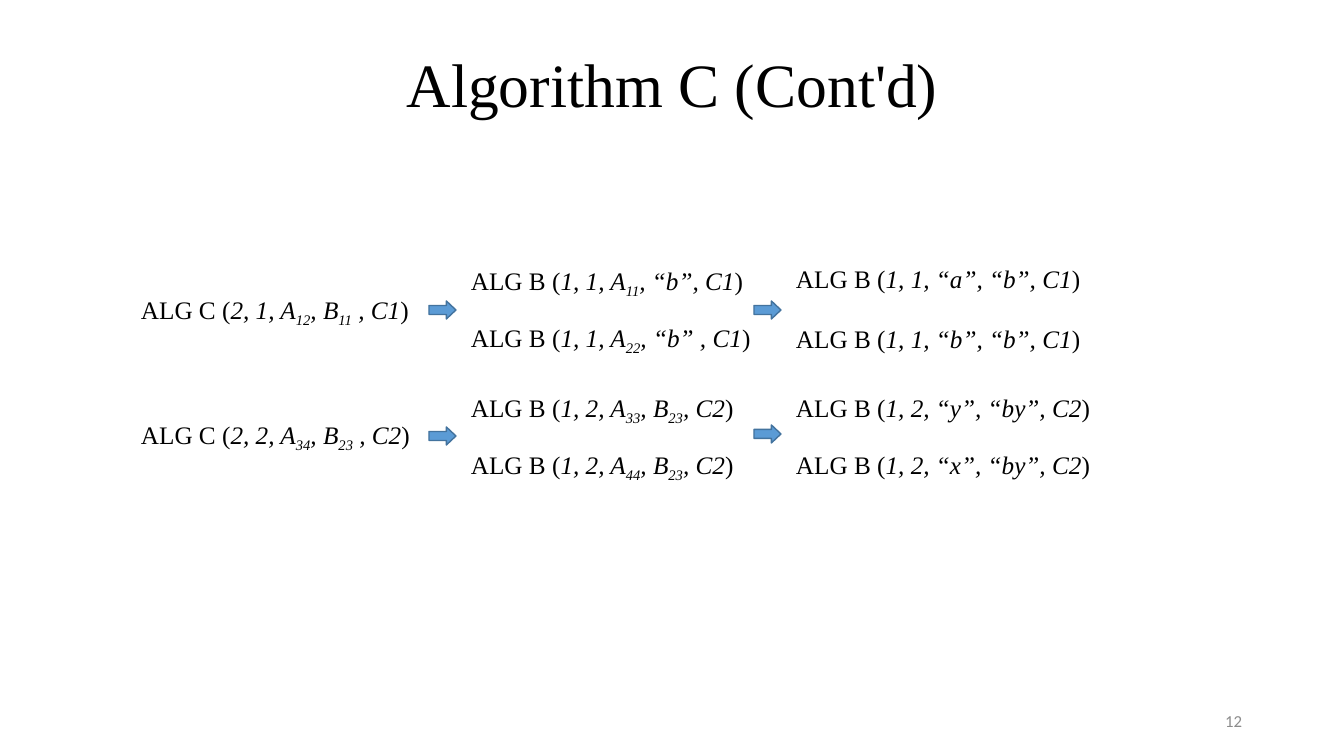
import pptx
import pptx.util
import pptx.dml.color
import pptx.enum.shapes
import pptx.enum.text

# Content: text between bars is a subscript
TITLE = "Algorithm C (Cont'd)"
PAGE = "12"

# Each column: name, left, width, text indent, then (top, arguments)
CALLS = [
    ("ALG C", 120, 300, 21, [
        (289, "2, 1, A|12|, B|11| , C1"),
        (414, "2, 2, A|34|, B|23| , C2"),
    ]),
    ("ALG B", 456, 310, 15, [
        (260, "1, 1, A|11|, “b”, C1"),
        (317, "1, 1, A|22|, “b” , C1"),
        (387, "1, 2, A|33|, B|23|, C2"),
        (444, "1, 2, A|44|, B|23|, C2"),
    ]),
    ("ALG B", 781, 335, 15, [
        (258, "1, 1, “a”, “b”, C1"),
        (318, "1, 1, “b”, “b”, C1"),
        (387, "1, 2, “y”, “by”, C2"),
        (444, "1, 2, “x”, “by”, C2"),
    ]),
]
ARROWS = [(429, 301), (429, 427), (754, 301), (754, 425)]

THEME = {
    "title": {"name": "Times New Roman", "size": 44, "color": "000000"},
    "call": {"name": "Times New Roman", "size": 18, "color": "000000"},
    "page": {"name": "Calibri", "size": 12, "color": "8C8C8C"},
    "fill": "5B9BD5",
    "line": "43739E",
}
SCALE = 12192000 / 1344
ALIGN = pptx.enum.text.PP_ALIGN
ANCHOR = pptx.enum.text.MSO_ANCHOR


def px(n):
    return pptx.util.Emu(round(n * SCALE))


def rgb(code):
    return pptx.dml.color.RGBColor.from_string(code)


def add_box(left, top, width, height, **look):
    box = slide.shapes.add_textbox(px(left), px(top), px(width), px(height))
    for key, value in {"word_wrap": True, **look}.items():
        setattr(box.text_frame, key, value)
    return box.text_frame.paragraphs[0]


def add_run(para, text, style, italic=False, sub=False):
    run = para.add_run()
    run.text = text
    look = THEME[style]
    font = {"name": look["name"], "size": pptx.util.Pt(look["size"]), "italic": italic}
    for key, value in font.items():
        setattr(run.font, key, value)
    run.font.color.rgb = rgb(look["color"])
    if sub:
        run._r.get_or_add_rPr().set("baseline", "-25000")


deck = pptx.Presentation()
deck.slide_width, deck.slide_height = px(1344), px(756)
slide = deck.slides.add_slide(deck.slide_layouts[6])

# Title
para = add_box(93, 40, 1159, 96, vertical_anchor=ANCHOR.MIDDLE)
para.alignment, para.line_spacing = ALIGN.CENTER, 0.9
add_run(para, TITLE, "title")

# Calls
for name, left, width, indent, rows in CALLS:
    for top, args in rows:
        para = add_box(left, top, width, 40, margin_left=px(indent))
        add_run(para, name + " (", "call")
        for i, part in enumerate(args.split("|")):
            add_run(para, part, "call", italic=True, sub=i % 2 == 1)
        add_run(para, ")", "call")

# Arrows
for left, top in ARROWS:
    arrow = slide.shapes.add_shape(
        pptx.enum.shapes.MSO_SHAPE.RIGHT_ARROW, px(left), px(top), px(27), px(18))
    arrow.shadow.inherit = False
    arrow.adjustments[0], arrow.adjustments[1] = 0.5, 0.53
    arrow.fill.solid()
    arrow.fill.fore_color.rgb = rgb(THEME["fill"])
    arrow.line.color.rgb = rgb(THEME["line"])
    arrow.line.width = pptx.util.Pt(1)

# Page number
para = add_box(950, 701, 302, 40, vertical_anchor=ANCHOR.MIDDLE)
para.alignment = ALIGN.RIGHT
add_run(para, PAGE, "page")

deck.save("out.pptx")
